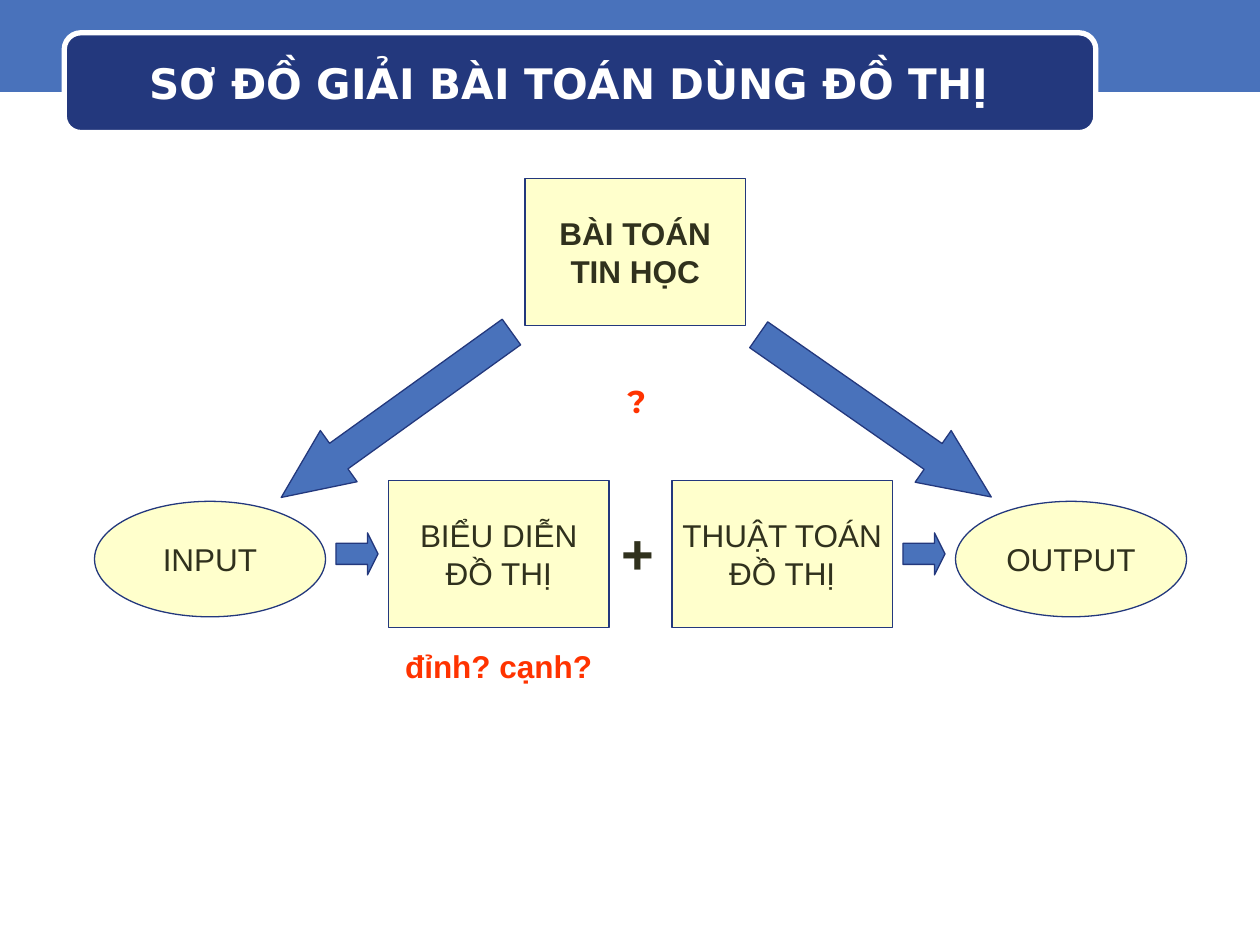
from pptx import Presentation
from pptx.dml.color import RGBColor
from pptx.enum.shapes import MSO_SHAPE
from pptx.enum.text import MSO_ANCHOR, PP_ALIGN
from pptx.util import Pt

RECT, ROUNDED, OVAL = MSO_SHAPE.RECTANGLE, MSO_SHAPE.ROUNDED_RECTANGLE, MSO_SHAPE.OVAL
RIGHT_ARROW, LEFT_ARROW = MSO_SHAPE.RIGHT_ARROW, MSO_SHAPE.LEFT_ARROW
MIDDLE, TOP = MSO_ANCHOR.MIDDLE, MSO_ANCHOR.TOP
CENTER, LEFT = PP_ALIGN.CENTER, PP_ALIGN.LEFT

COLORS = {
    "band": "4972BB", "navy": "23387D", "cream": "FFFFCC",
    "ink": "30311D", "red": "FF3300", "white": "FFFFFF",
}
BOX_W, BOX_H = 126, 84
OVAL_W, OVAL_H = 132, 66
ROW_MIDDLE = 316.5


def color(name):
    return RGBColor.from_string(COLORS[name])


def add_run(p, text, size=18, name="ink", bold=False, font="Arial"):
    r = p.add_run()
    r.text = text
    r.font.size = Pt(size)
    r.font.name = font
    r.font.bold = bold
    r.font.color.rgb = color(name)


def add_block(s, kind, x, y, w, h, fill="cream", line="navy", line_width=0.75):
    sp = s.shapes.add_shape(kind, Pt(x), Pt(y), Pt(w), Pt(h))
    sp.shadow.inherit = False
    sp.fill.solid()
    sp.fill.fore_color.rgb = color(fill)
    if line:
        sp.line.color.rgb = color(line)
        sp.line.width = Pt(line_width)
    else:
        sp.line.fill.background()
    return sp


def add_node(s, kind, x, y, w, h, lines):
    """A cream shape with one centred paragraph per line."""
    tf = add_block(s, kind, x, y, w, h).text_frame
    tf.word_wrap = False
    tf.vertical_anchor = MIDDLE
    for i, text in enumerate(lines):
        p = tf.add_paragraph() if i else tf.paragraphs[0]
        p.alignment = CENTER
        add_run(p, text)
    return tf


def add_arrow(s, kind, x, y, w, h, head, rotation=0):
    sp = add_block(s, kind, x, y, w, h, fill="band")
    sp.adjustments[0] = 0.5
    sp.adjustments[1] = head
    sp.rotation = rotation


def add_label(s, x, y, w, h, text, align=LEFT, before=0, wrap=True, **style):
    tf = s.shapes.add_textbox(Pt(x), Pt(y), Pt(w), Pt(h)).text_frame
    tf.word_wrap = wrap
    tf.vertical_anchor = TOP
    p = tf.paragraphs[0]
    p.alignment = align
    p.space_before = Pt(before)
    add_run(p, text, bold=True, **style)


def add_header(s, text):
    add_block(s, RECT, 0, -2, 720, 54.5, fill="band", line=None)
    plate = add_block(s, ROUNDED, 36.75, 18.75, 589.5, 57, "navy", "white", 3)
    plate.adjustments[0] = 0.167
    title = s.shapes.title
    title.left, title.top, title.width, title.height = Pt(43.2), Pt(25.2), Pt(563.8), Pt(44.6)
    plate.element.addnext(title.element)  # the title stands in front of its plate
    tf = title.text_frame
    tf.word_wrap = True
    tf.vertical_anchor = MIDDLE
    p = tf.paragraphs[0]
    p.alignment = CENTER
    add_run(p, text, 24, "white", True, "DejaVu Sans")


def main():
    prs = Presentation()
    prs.slide_width, prs.slide_height = Pt(720), Pt(540)
    s = prs.slides.add_slide(prs.slide_layouts[5])
    add_header(s, "SƠ ĐỒ GIẢI BÀI TOÁN DÙNG ĐỒ THỊ")

    # Bottom row: input, two steps, output
    for x, text in ((54, "INPUT"), (546, "OUTPUT")):
        add_node(s, OVAL, x, 286.5, OVAL_W, OVAL_H, [text])
    for x, first in ((222, "BIỂU DIỄN"), (384, "THUẬT TOÁN")):
        add_node(s, RECT, x, ROW_MIDDLE - BOX_H / 2, BOX_W, BOX_H, [first, "ĐỒ THỊ"])
    add_label(s, 348, 292.5, 24, 46, "+", before=20, size=32)
    for x in (192, 516):
        add_arrow(s, RIGHT_ARROW, x, ROW_MIDDLE - 12, 24, 24, 0.25)

    # Problem at the top
    add_label(s, 351.5, 214.5, 36, 48, "?", wrap=False, name="red", font="Montserrat")
    p = add_node(s, RECT, 300, 102, BOX_W, BOX_H, []).paragraphs[0]
    p.alignment = CENTER
    add_run(p, "BÀI TOÁN", bold=True)
    p.add_line_break()
    add_run(p, "TIN HỌC", bold=True)

    # Slanted arrows from the problem to input and output
    for x, y, rotation in ((145.5, 219, 324.3), (419, 219.6, 214.9)):
        add_arrow(s, LEFT_ARROW, x, y, 162, 36, 1.125, rotation)

    # Question under the graph step
    add_label(s, 210, 366, 150, 29, "đỉnh? cạnh?", align=CENTER, before=11.2, name="red")

    prs.save("out.pptx")


if __name__ == "__main__":
    main()
